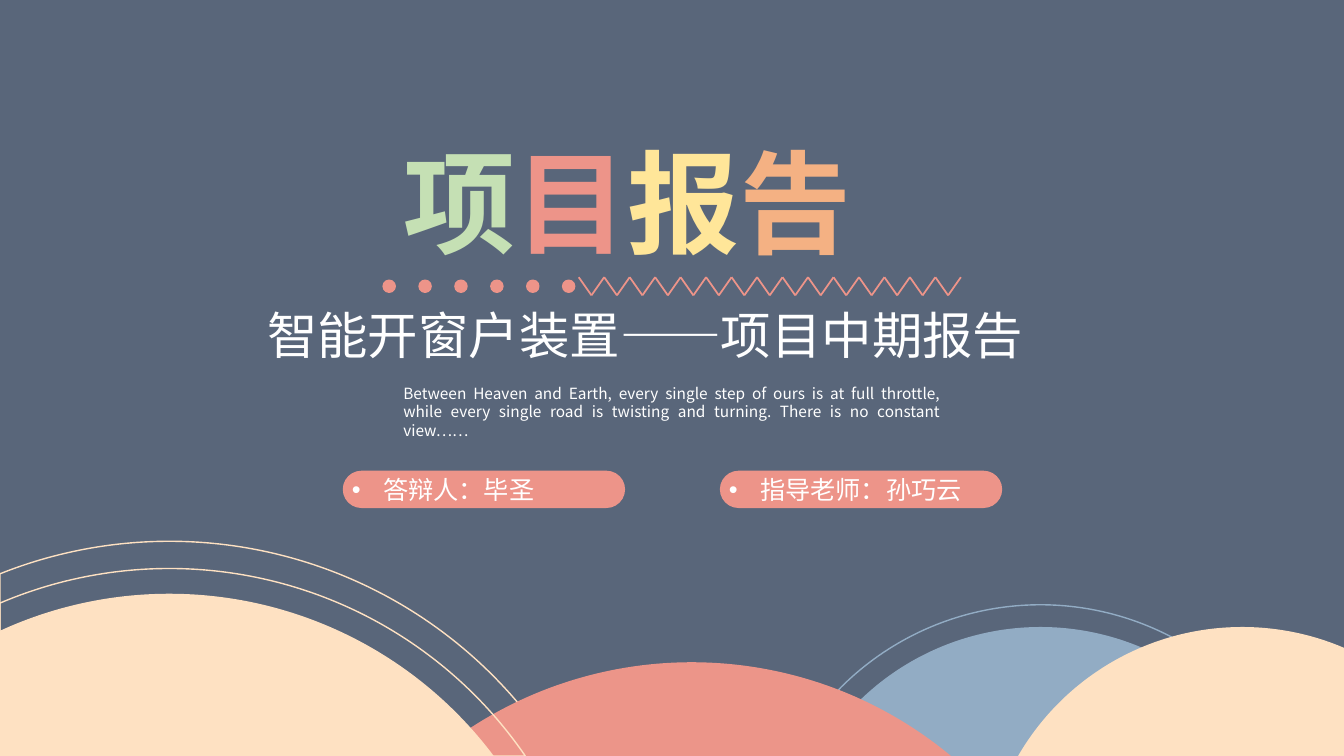
import math
from dataclasses import dataclass
from typing import Any

import lxml.etree
import pptx
import pptx.dml.color
import pptx.enum.shapes
import pptx.enum.text
import pptx.oxml.ns
import pptx.util

Inches = pptx.util.Inches
SHAPE = pptx.enum.shapes.MSO_SHAPE
ALIGN = pptx.enum.text.PP_ALIGN
WIDTH, HEIGHT = 13.33, 7.5


@dataclass(frozen=True)
class Theme:
    font: str = "Noto Sans CJK SC"
    slate: str = "59667A"
    white: str = "FFFFFF"
    coral: str = "ED9489"
    hill_coral: str = "EC9589"
    cream: str = "FEE1C2"
    blue: str = "92ACC4"
    green: str = "C5E0B4"
    yellow: str = "FFE699"
    orange: str = "F4B183"
    title_size: int = 80
    subtitle_size: int = 36
    label_size: int = 18
    quote_size: int = 11


THEME = Theme()


@dataclass(frozen=True)
class Hill:
    """The visible cap of a large circle, filled or outlined."""
    center: float
    top: float
    radius: float
    color: str
    filled: bool


@dataclass(frozen=True)
class Span:
    text: str
    color: str = THEME.white


@dataclass(frozen=True)
class Block:
    left: float
    top: float
    width: float
    height: float
    size: int
    spans: tuple[Span, ...]
    bold: bool = False
    bullet: bool = False


@dataclass(frozen=True)
class Pill:
    left: float
    label: str


HILLS = (
    Hill(10.32, 6, 2.8, THEME.blue, False),
    Hill(1.68, 5.37, 4.53, THEME.cream, False),
    Hill(10.32, 6.22, 2.57, THEME.blue, True),
    Hill(6.86, 6.57, 4.02, THEME.hill_coral, True),
    Hill(1.68, 5.89, 4.02, THEME.cream, True),
    Hill(12.32, 6.22, 2.57, THEME.cream, True),
    Hill(1.68, 5.64, 4.28, THEME.cream, False),
)
TITLE = Block(4, 1.32, 5.33, 1.35, THEME.title_size, (
    Span("项", THEME.green), Span("目", THEME.coral),
    Span("报", THEME.yellow), Span("告", THEME.orange)), bold=True)
TEXTS = (
    Block(2.65, 3.02, 8.03, 0.61, THEME.subtitle_size,
          (Span("智能开窗户装置——项目中期报告"),)),
    Block(4, 3.81, 5.33, 0.37, THEME.quote_size, (Span(
        "Between Heaven and Earth, every single step of ours is at full throttle, "
        "while every single road is twisting and turning. "
        "There is no constant view……"),)),
)
PILLS = (Pill(3.4, "答辩人：毕圣"), Pill(7.14, "指导老师：孙巧云"))


def rgb(color: str) -> pptx.dml.color.RGBColor:
    return pptx.dml.color.RGBColor.from_string(color)


def set_values(target: Any, values: dict[str, Any]) -> None:
    for name, value in values.items():
        setattr(target, name, value)


def paint(shape: Any, fill: str | None, line: str | None) -> None:
    shape.shadow.inherit = False
    if fill:
        shape.fill.solid()
        shape.fill.fore_color.rgb = rgb(fill)
    else:
        shape.fill.background()
    if line:
        shape.line.color.rgb = rgb(line)
        shape.line.width = pptx.util.Pt(1)
    else:
        shape.line.fill.background()


def arc_points(hill: Hill, start: float, end: float) -> list[tuple[float, float]]:
    """Two control points and the end of a curve between angles from the top."""
    pull = 4 / 3 * math.tan((end - start) / 4)

    def place(angle: float, shift: float) -> tuple[float, float]:
        across = math.sin(angle) + shift * math.cos(angle)
        up = math.cos(angle) - shift * math.sin(angle)
        return hill.center + hill.radius * across, hill.top + hill.radius * (1 - up)

    return [place(start, pull), place(end, -pull), place(end, 0)]


def bend(shape: Any, curves: int) -> None:
    """Turn each leading three line segments into one curve."""
    segments = list(shape._element.iter(pptx.oxml.ns.qn("a:lnTo")))
    for first in range(0, 3 * curves, 3):
        curve = lxml.etree.Element(pptx.oxml.ns.qn("a:cubicBezTo"))
        segments[first].addprevious(curve)
        for segment in segments[first:first + 3]:
            curve.append(segment[0])
            segment.getparent().remove(segment)


def draw_hill(page: Any, hill: Hill) -> None:
    reach = math.acos(1 - (HEIGHT - hill.top) / hill.radius)
    start = -min(reach, math.asin(min(1, hill.center / hill.radius)))
    end = min(reach, math.asin(min(1, (WIDTH - hill.center) / hill.radius)))
    arc = (arc_points(hill, start, start)[-1:]
           + arc_points(hill, start, 0) + arc_points(hill, 0, end))
    corners = [(x, HEIGHT) for (x, y), angle in ((arc[-1], end), (arc[0], start))
               if abs(angle) < reach]
    outline = [(Inches(x), Inches(y)) for x, y in arc + corners]
    builder = page.shapes.build_freeform(*outline[0])
    builder.add_line_segments(outline[1:], close=True)
    shape = builder.convert_to_shape()
    bend(shape, curves=2)
    paint(shape, hill.color if hill.filled else None,
          None if hill.filled else hill.color)


def add_bullet(para: Any) -> None:
    properties = para._p.get_or_add_pPr()
    properties.set("marL", str(Inches(0.31)))
    properties.set("indent", str(Inches(-0.31)))
    for tag, key, value in (("a:buFont", "typeface", "Arial"), ("a:buChar", "char", "•")):
        lxml.etree.SubElement(properties, pptx.oxml.ns.qn(tag)).set(key, value)


def write_block(box: Any, block: Block) -> None:
    set_values(box, {name: Inches(getattr(block, name))
                     for name in ("left", "top", "width", "height")})
    frame = box.text_frame
    set_values(frame, {
        "word_wrap": True, "margin_left": 0, "margin_top": 0,
        "margin_right": 0, "margin_bottom": 0,
        "vertical_anchor": pptx.enum.text.MSO_ANCHOR.TOP,
        "auto_size": pptx.enum.text.MSO_AUTO_SIZE.SHAPE_TO_FIT_TEXT})
    para = frame.paragraphs[0]
    if block.bullet:
        add_bullet(para)
    para.alignment = ALIGN.LEFT if block.bullet else ALIGN.JUSTIFY
    for span in block.spans:
        run = para.add_run()
        run.text = span.text
        set_values(run.font, {"size": pptx.util.Pt(block.size),
                              "bold": block.bold, "name": THEME.font})
        run.font.color.rgb = rgb(span.color)
        east_asian = lxml.etree.SubElement(run._r.get_or_add_rPr(), pptx.oxml.ns.qn("a:ea"))
        east_asian.set("typeface", THEME.font)


def add_text(page: Any, block: Block) -> None:
    write_block(page.shapes.add_textbox(0, 0, 0, 0), block)


def draw_pill(page: Any, pill: Pill) -> None:
    shape = page.shapes.add_shape(SHAPE.ROUNDED_RECTANGLE, Inches(pill.left),
                                  Inches(4.67), Inches(2.8), Inches(0.37))
    shape.adjustments[0] = 0.5
    paint(shape, THEME.coral, None)
    add_text(page, Block(pill.left + 0.09, 4.71, 2.5, 0.3, THEME.label_size,
                         (Span(pill.label),), bullet=True))


def draw_zigzag(page: Any, left: float = 5.74, right: float = 9.53, strokes: int = 30) -> None:
    step = (right - left) / strokes
    levels = (2.75, 2.93)
    for index in range(strokes):
        stroke = page.shapes.add_connector(
            pptx.enum.shapes.MSO_CONNECTOR.STRAIGHT,
            Inches(left + index * step), Inches(levels[index % 2]),
            Inches(left + (index + 1) * step), Inches(levels[(index + 1) % 2]))
        stroke.line.color.rgb = rgb(THEME.coral)
        stroke.line.width = pptx.util.Pt(1.25)
        lxml.etree.SubElement(stroke._element.spPr, pptx.oxml.ns.qn("a:effectLst"))


def draw_dots(page: Any, left: float = 3.8, pitch: float = 0.356, count: int = 6) -> None:
    for index in range(count):
        dot = page.shapes.add_shape(SHAPE.OVAL, Inches(left + index * pitch),
                                    Inches(2.78), Inches(0.12), Inches(0.12))
        paint(dot, THEME.coral, THEME.coral)


def main() -> None:
    deck = pptx.Presentation()
    set_values(deck, {"slide_width": Inches(WIDTH), "slide_height": Inches(HEIGHT)})
    page = deck.slides.add_slide(deck.slide_layouts[5])
    page.background.fill.solid()
    page.background.fill.fore_color.rgb = rgb(THEME.slate)
    for hill in HILLS:
        draw_hill(page, hill)
    write_block(page.shapes.title, TITLE)
    for block in TEXTS:
        add_text(page, block)
    for pill in PILLS:
        draw_pill(page, pill)
    draw_zigzag(page)
    draw_dots(page)
    deck.save("out.pptx")


if __name__ == "__main__":
    main()
